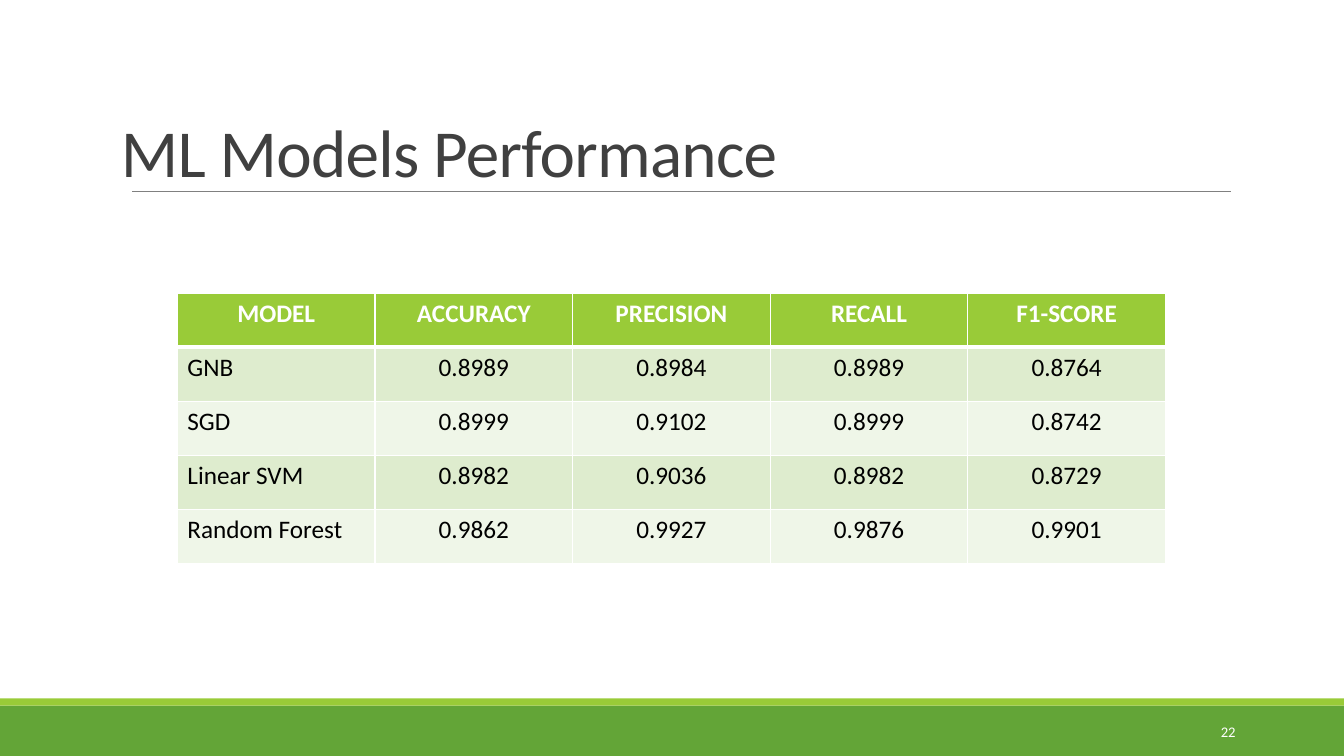
"""Build the slide that compares the performance of the ML models."""
from dataclasses import dataclass

from lxml.etree import SubElement
from pptx import Presentation
from pptx.dml.color import RGBColor as Rgb
from pptx.enum.shapes import MSO_CONNECTOR as Connector, MSO_SHAPE as Shape
from pptx.enum.text import MSO_ANCHOR as Anchor, PP_ALIGN as Align
from pptx.oxml.ns import qn
from pptx.util import Cm, Pt

TITLE = "ML Models Performance"
PAGE_NUMBER = "22"
HEADER = ("MODEL", "ACCURACY", "PRECISION", "RECALL", "F1-SCORE")
SCORES = (
    ("GNB", "0.8989", "0.8984", "0.8989", "0.8764"),
    ("SGD", "0.8999", "0.9102", "0.8999", "0.8742"),
    ("Linear SVM", "0.8982", "0.9036", "0.8982", "0.8729"),
    ("Random Forest", "0.9862", "0.9927", "0.9876", "0.9901"),
)


@dataclass(frozen=True)
class Theme:
    """Colours, font and type sizes of the slide."""
    font: str = "Calibri"
    green: str = "63A537"
    lime: str = "99CB38"
    bands: tuple = ("DEECCE", "EFF6E8")
    rule: str = "808080"
    heading: str = "404040"
    white: str = "FFFFFF"
    black: str = "000000"
    title_size: float = 48
    table_size: float = 18
    number_size: float = 10.5


THEME = Theme()
SLIDE_WIDTH, SLIDE_HEIGHT = 33.87, 19.05
FOOTER_TOP, STRIP_HEIGHT = 17.78, 0.18
RULE_LEFT, RULE_RIGHT, RULE_TOP = 3.33, 31.01, 4.83
TITLE_BOX = (3.05, 3.02, 27.94, 1.8)
NUMBER_BOX = (27.51, 17.93, 3.63, 1.02)
TABLE_LEFT, TABLE_TOP = 4.47, 7.39
COLUMN_WIDTH, ROW_HEIGHT = 4.98, 1.36


def write(para, text, size, color, align=Align.LEFT, bold=False):
    """Fill a paragraph with one styled run and return the run."""
    para.text = text
    para.alignment = align
    span = para.runs[0]
    span.font.name = THEME.font
    span.font.size = Pt(size)
    span.font.bold = bold
    span.font.color.rgb = Rgb.from_string(color)
    return span


def add_band(page, top, height, color):
    """Add a plain band across the full slide width."""
    band = page.shapes.add_shape(
        Shape.RECTANGLE, 0, Cm(top), Cm(SLIDE_WIDTH), Cm(height))
    band.shadow.inherit = False
    band.fill.solid()
    band.fill.fore_color.rgb = Rgb.from_string(color)
    band.line.fill.background()


def add_rule(page):
    """Add the thin line under the title."""
    rule = page.shapes.add_connector(
        Connector.STRAIGHT, Cm(RULE_LEFT), Cm(RULE_TOP), Cm(RULE_RIGHT), Cm(RULE_TOP))
    rule.line.color.rgb = Rgb.from_string(THEME.rule)
    rule.line.width = Pt(0.5)
    SubElement(rule.element.spPr, qn("a:effectLst"))


def add_box(page, place, anchor):
    """Add a text box without margins and return its text frame."""
    frame = page.shapes.add_textbox(*map(Cm, place)).text_frame
    frame.word_wrap = True
    frame.vertical_anchor = anchor
    frame.margin_left = frame.margin_top = 0
    frame.margin_right = frame.margin_bottom = 0
    return frame


def add_borders(cell, row):
    """Draw white cell borders, thicker below the header row."""
    properties = cell._tc.get_or_add_tcPr()
    thick_side = {0: "lnB", 1: "lnT"}.get(row)
    for side in ("lnL", "lnR", "lnT", "lnB"):
        width = Pt(3 if side == thick_side else 1)
        border = SubElement(properties, qn(f"a:{side}"), w=str(width))
        fill = SubElement(border, qn("a:solidFill"))
        SubElement(fill, qn("a:srgbClr"), val=THEME.white)


def add_scores(page):
    """Add the table of model scores."""
    rows = (HEADER, *SCORES)
    table = page.shapes.add_table(
        len(rows), len(HEADER), Cm(TABLE_LEFT), Cm(TABLE_TOP),
        Cm(COLUMN_WIDTH * len(HEADER)), Cm(ROW_HEIGHT * len(rows))).table
    for column in table.columns:
        column.width = Cm(COLUMN_WIDTH)
    for row, texts in enumerate(rows):
        table.rows[row].height = Cm(ROW_HEIGHT)
        is_header = row == 0
        background = THEME.lime if is_header else THEME.bands[(row - 1) % 2]
        color = THEME.white if is_header else THEME.black
        for column, text in enumerate(texts):
            cell = table.cell(row, column)
            add_borders(cell, row)
            cell.fill.solid()
            cell.fill.fore_color.rgb = Rgb.from_string(background)
            align = Align.CENTER if is_header or column else Align.LEFT
            write(cell.text_frame.paragraphs[0], text, THEME.table_size,
                  color, align, is_header)


def main():
    """Assemble the slide and save the deck."""
    deck = Presentation()
    deck.slide_width, deck.slide_height = Cm(SLIDE_WIDTH), Cm(SLIDE_HEIGHT)
    page = deck.slides.add_slide(deck.slide_layouts[6])

    add_band(page, FOOTER_TOP, SLIDE_HEIGHT - FOOTER_TOP, THEME.green)
    add_band(page, FOOTER_TOP - STRIP_HEIGHT, STRIP_HEIGHT, THEME.lime)
    add_rule(page)

    title = add_box(page, TITLE_BOX, Anchor.BOTTOM).paragraphs[0]
    title.line_spacing = 0.85
    span = write(title, TITLE, THEME.title_size, THEME.heading)
    span.font._element.set("spc", "-50")

    number = add_box(page, NUMBER_BOX, Anchor.MIDDLE).paragraphs[0]
    write(number, PAGE_NUMBER, THEME.number_size, THEME.white, Align.RIGHT)

    add_scores(page)
    deck.save("out.pptx")


if __name__ == "__main__":
    main()
